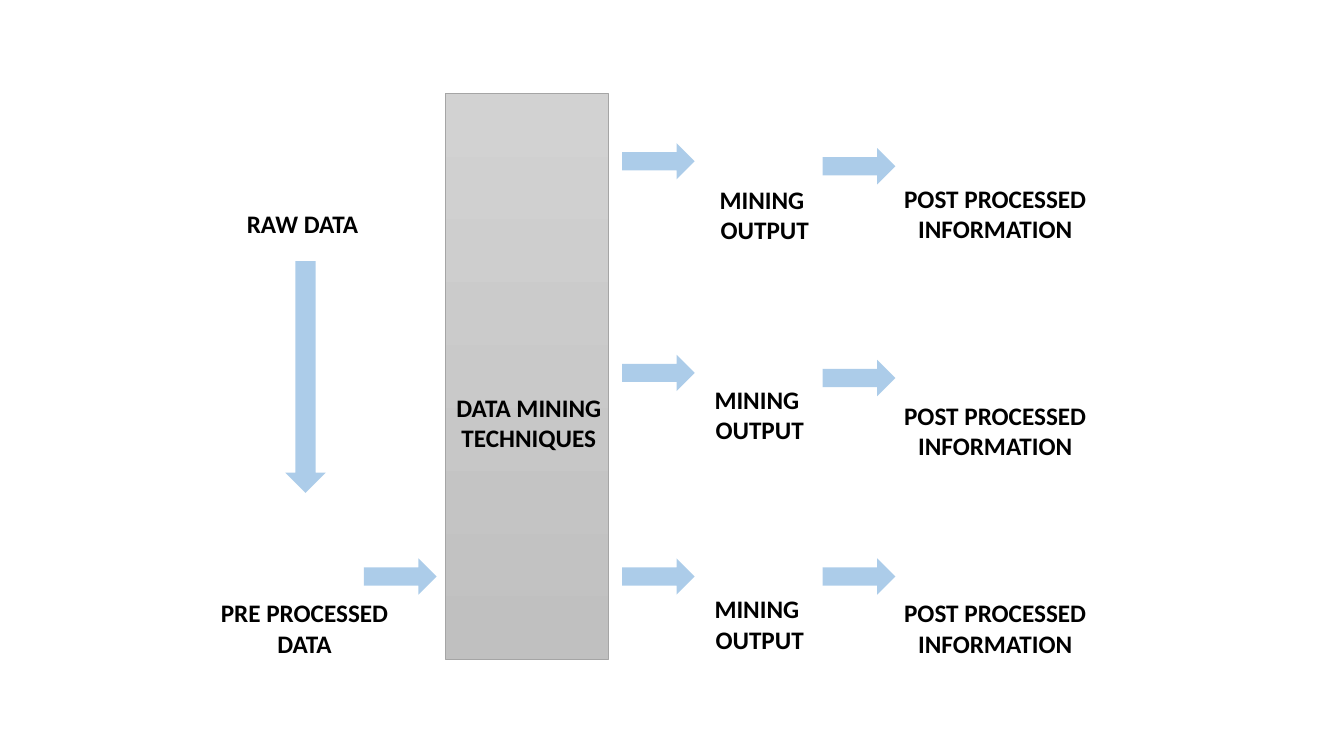
from pptx import Presentation
from pptx.dml.color import RGBColor
from pptx.enum.shapes import MSO_SHAPE as Preset
from pptx.enum.text import MSO_AUTO_SIZE as AutoSize, PP_ALIGN as Align
from pptx.oxml.ns import qn
from pptx.util import Emu, Pt
from lxml.etree import SubElement

PX = 9144
COLORS = {
    "arrow": "5B9BD5",
    "panel_top": "D2D2D2",
    "panel_bottom": "C0C0C0",
    "panel_edge": "A5A5A5",
    "text": "000000",
}
FONT = "Calibri"
ARROW_SIZE = (72, 36)
MINING_ARROW_X = 617
OUTPUT_ARROW_X = 816
POST_X = 886
FLOWS = [
    {"mining_arrow": 142, "output_arrow": 147, "output": (703, 178), "post": 177},
    {"mining_arrow": 352, "output_arrow": 357, "output": (698, 376), "post": 392},
    {"mining_arrow": 554, "output_arrow": 554, "output": (698, 584), "post": 588},
]


def color(name):
    return RGBColor.from_string(COLORS[name])


def px(*lengths):
    return [Emu(length * PX) for length in lengths]


def add_arrow(slide, x, y, size=ARROW_SIZE, preset=Preset.RIGHT_ARROW):
    arrow = slide.shapes.add_shape(preset, *px(x, y, *size))
    arrow.shadow.inherit = False
    arrow.line.fill.background()
    arrow.fill.solid()
    arrow.fill.fore_color.rgb = color("arrow")
    tint = arrow.fill._xPr.find(qn("a:solidFill"))[0]
    SubElement(tint, qn("a:alpha")).set("val", "50000")


def add_panel(slide, x, y, width, height):
    panel = slide.shapes.add_shape(Preset.RECTANGLE, *px(x, y, width, height))
    panel.shadow.inherit = False
    panel.fill.gradient()
    panel.fill.gradient_angle = 270
    for stop, name in zip(panel.fill.gradient_stops, ("panel_top", "panel_bottom")):
        stop.color.rgb = color(name)
    panel.line.color.rgb = color("panel_edge")
    panel.line.width = Pt(0.5)


def add_label(slide, text, x, y, width, height=71):
    frame = slide.shapes.add_textbox(*px(x, y, width, height)).text_frame
    frame.word_wrap = False
    frame.auto_size = AutoSize.SHAPE_TO_FIT_TEXT
    frame.text = text
    for paragraph in frame.paragraphs:
        paragraph.alignment = Align.CENTER
        for run in paragraph.runs:
            run.font.name = FONT
            run.font.size = Pt(18)
            run.font.bold = True
            run.font.color.rgb = color("text")


def main():
    deck = Presentation()
    deck.slide_width, deck.slide_height = px(1333, 750)
    slide = deck.slides.add_slide(deck.slide_layouts[6])

    add_label(slide, "RAW DATA", 234, 202, 132, 40)
    add_arrow(slide, 283, 259, (40, 230), Preset.DOWN_ARROW)
    add_label(slide, "PRE PROCESSED\nDATA", 208, 588, 188)
    add_arrow(slide, 361, 554)

    add_panel(slide, 442, 93, 161, 561)
    add_label(slide, "DATA MINING\vTECHNIQUES", 442, 384, 165)

    for flow in FLOWS:
        add_arrow(slide, MINING_ARROW_X, flow["mining_arrow"])
        add_label(slide, "MINING \vOUTPUT", *flow["output"], 111)
        add_arrow(slide, OUTPUT_ARROW_X, flow["output_arrow"])
        add_label(slide, "POST PROCESSED\nINFORMATION", POST_X, flow["post"], 202)

    deck.save("out.pptx")


if __name__ == "__main__":
    main()
